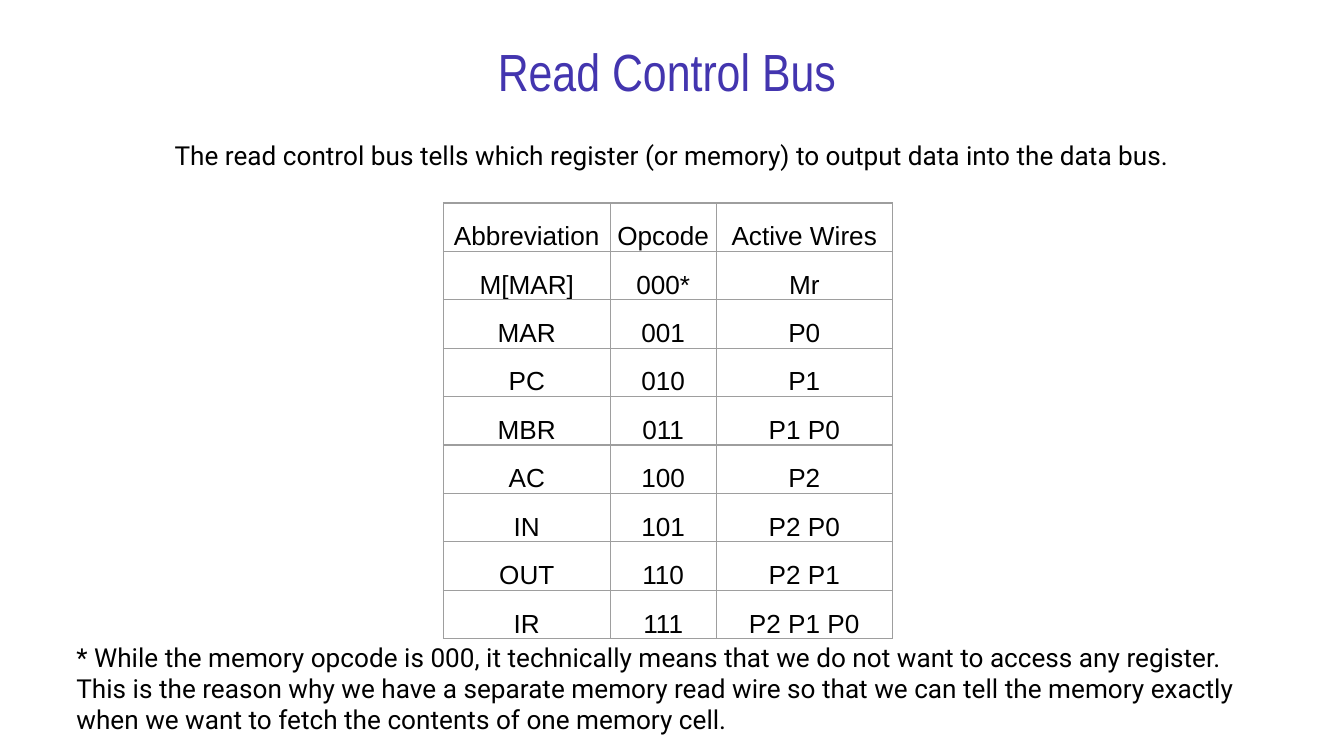
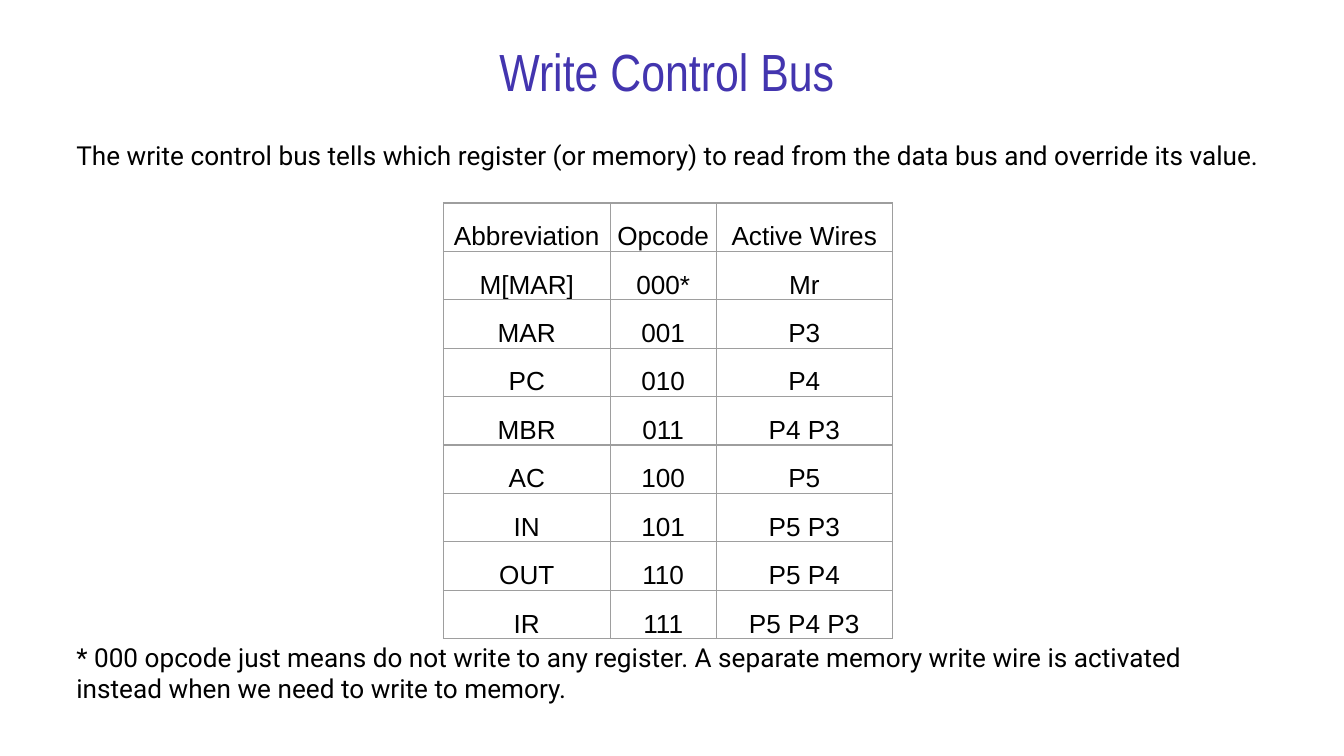
"""Build two slides on the read and write control buses."""
from dataclasses import dataclass

from lxml.etree import SubElement
from pptx import Presentation
from pptx.dml.color import RGBColor
from pptx.enum.text import MSO_ANCHOR, PP_ALIGN
from pptx.oxml.ns import qn
from pptx.util import Emu, Inches, Pt

SLIDE_WIDTH, SLIDE_HEIGHT = Inches(10), Inches(5.625)
GRID_COLUMNS = 100
PURPLE, BLACK, GREY = "4335AF", "000000", "9E9E9E"
TITLE_FONT, BODY_FONT, TABLE_FONT = "Arial Narrow", "Roboto", "Arial"
TITLE_SIZE, BODY_SIZE = 28, 14
LINE_SPACING = 1.5
NOTE_GAP = 10 * LINE_SPACING * 1.2 * BODY_SIZE
HEADERS = ("Abbreviation", "Opcode", "Active Wires")
REGISTERS = ("M[MAR]", "MAR", "PC", "MBR", "AC", "IN", "OUT", "IR")
COLUMN_WIDTHS = (12.4, 7.9, 13.1)
ROW_HEIGHT = 2.5


@dataclass(frozen=True)
class Area:
    """A rectangle in grid units."""
    left: float
    top: float
    width: float
    height: float

    def lengths(self) -> tuple[Emu, ...]:
        """Return the rectangle as slide lengths."""
        return tuple(map(units, (self.left, self.top, self.width, self.height)))


@dataclass(frozen=True)
class Bus:
    """The content of one control bus slide."""
    title: str
    intro: str
    intro_alignment: PP_ALIGN
    first_wire: int
    note: str


TITLE_AREA = Area(28.6, 3.7, 42.9, 3.1)
BODY_AREA = Area(4.7, 8.2, 90.6, 43.4)
TABLE_AREA = Area(33, 15.1, sum(COLUMN_WIDTHS), 32.3)

BUSES = (
    Bus(
        "Read Control Bus ",
        "The read control bus tells which register (or memory) to output data "
        "into the data bus.",
        PP_ALIGN.CENTER,
        0,
        "* While the memory opcode is 000, it technically means that we do not "
        "want to access any register. This is the reason why we have a separate "
        "memory read wire so that we can tell the memory exactly when we want to "
        "fetch the contents of one memory cell.",
    ),
    Bus(
        "Write Control Bus ",
        "The write control bus tells which register (or memory) to read from the "
        "data bus and override its value.",
        PP_ALIGN.LEFT,
        3,
        "* 000 opcode just means do not write to any register. A separate memory "
        "write wire is activated instead when we need to write to memory.",
    ),
)


def units(count: float) -> Emu:
    """Convert grid units to a slide length."""
    return Emu(round(SLIDE_WIDTH * count / GRID_COLUMNS))


def color(value: str) -> RGBColor:
    """Convert a hex string to a colour."""
    return RGBColor.from_string(value)


def write(para, text: str, font: str, size: float, ink: str, alignment: PP_ALIGN) -> None:
    """Fill a paragraph with one styled run."""
    para.text = text
    para.alignment = alignment
    for span in para.runs:
        span.font.name = font
        span.font.size = Pt(size)
        span.font.color.rgb = color(ink)


def add_text_frame(page, area: Area, anchor: MSO_ANCHOR):
    """Add a wrapping text box and return its text frame."""
    frame = page.shapes.add_textbox(*area.lengths()).text_frame
    frame.word_wrap = True
    frame.vertical_anchor = anchor
    frame.margin_left = frame.margin_right = units(1)
    frame.margin_top = frame.margin_bottom = units(1)
    return frame


def add_title(page, bus: Bus) -> None:
    """Draw the slide title."""
    frame = add_text_frame(page, TITLE_AREA, MSO_ANCHOR.MIDDLE)
    write(frame.paragraphs[0], bus.title, TITLE_FONT, TITLE_SIZE, PURPLE, PP_ALIGN.CENTER)


def add_body(page, bus: Bus) -> None:
    """Draw the introduction and, below the table, the note."""
    frame = add_text_frame(page, BODY_AREA, MSO_ANCHOR.TOP)
    intro, note = frame.paragraphs[0], frame.add_paragraph()
    write(intro, bus.intro, BODY_FONT, BODY_SIZE, BLACK, bus.intro_alignment)
    write(note, bus.note, BODY_FONT, BODY_SIZE, BLACK, PP_ALIGN.LEFT)
    intro.line_spacing = LINE_SPACING
    note.space_before = Pt(NOTE_GAP)


def active_wires(opcode: int, first_wire: int) -> str:
    """Name the wires that are set by an opcode, highest first."""
    wires = [f"P{first_wire + bit}" for bit in (2, 1, 0) if opcode >> bit & 1]
    return " ".join(wires) or "Mr"


def table_rows(bus: Bus) -> list[tuple[str, ...]]:
    """List the table rows of a bus, headers first."""
    rows = [HEADERS]
    for opcode, register in enumerate(REGISTERS):
        code = f"{opcode:03b}" if opcode else "000*"
        rows.append((register, code, active_wires(opcode, bus.first_wire)))
    return rows


def style_cell(cell) -> None:
    """Give a cell thin borders, no fill and tight margins."""
    properties = cell._tc.get_or_add_tcPr()
    for side in ("a:lnL", "a:lnR", "a:lnT", "a:lnB"):
        line = SubElement(properties, qn(side), w=str(Pt(0.75)))
        fill = SubElement(line, qn("a:solidFill"))
        SubElement(fill, qn("a:srgbClr"), val=GREY)
    cell.fill.background()
    cell.vertical_anchor = MSO_ANCHOR.BOTTOM
    cell.margin_left = cell.margin_right = cell.margin_top = units(0.1)
    cell.margin_bottom = 0


def add_opcode_table(page, bus: Bus) -> None:
    """Draw the table of opcodes and wires."""
    rows = table_rows(bus)
    holder = page.shapes.add_table(len(rows), len(HEADERS), *TABLE_AREA.lengths())
    table = holder.table
    table.first_row = table.horz_banding = False
    for column, width in zip(table.columns, COLUMN_WIDTHS):
        column.width = units(width)
    for row, values in zip(table.rows, rows):
        row.height = units(ROW_HEIGHT)
        for cell, value in zip(row.cells, values):
            style_cell(cell)
            para = cell.text_frame.paragraphs[0]
            write(para, value, TABLE_FONT, BODY_SIZE, BLACK, PP_ALIGN.CENTER)
            para.line_spacing = LINE_SPACING
    holder.height = units(TABLE_AREA.height)


def main() -> None:
    """Build and save the deck."""
    deck = Presentation()
    deck.slide_width, deck.slide_height = SLIDE_WIDTH, SLIDE_HEIGHT
    for bus in BUSES:
        page = deck.slides.add_slide(deck.slide_layouts[6])
        add_title(page, bus)
        add_body(page, bus)
        add_opcode_table(page, bus)
    deck.save("out.pptx")


if __name__ == "__main__":
    main()
